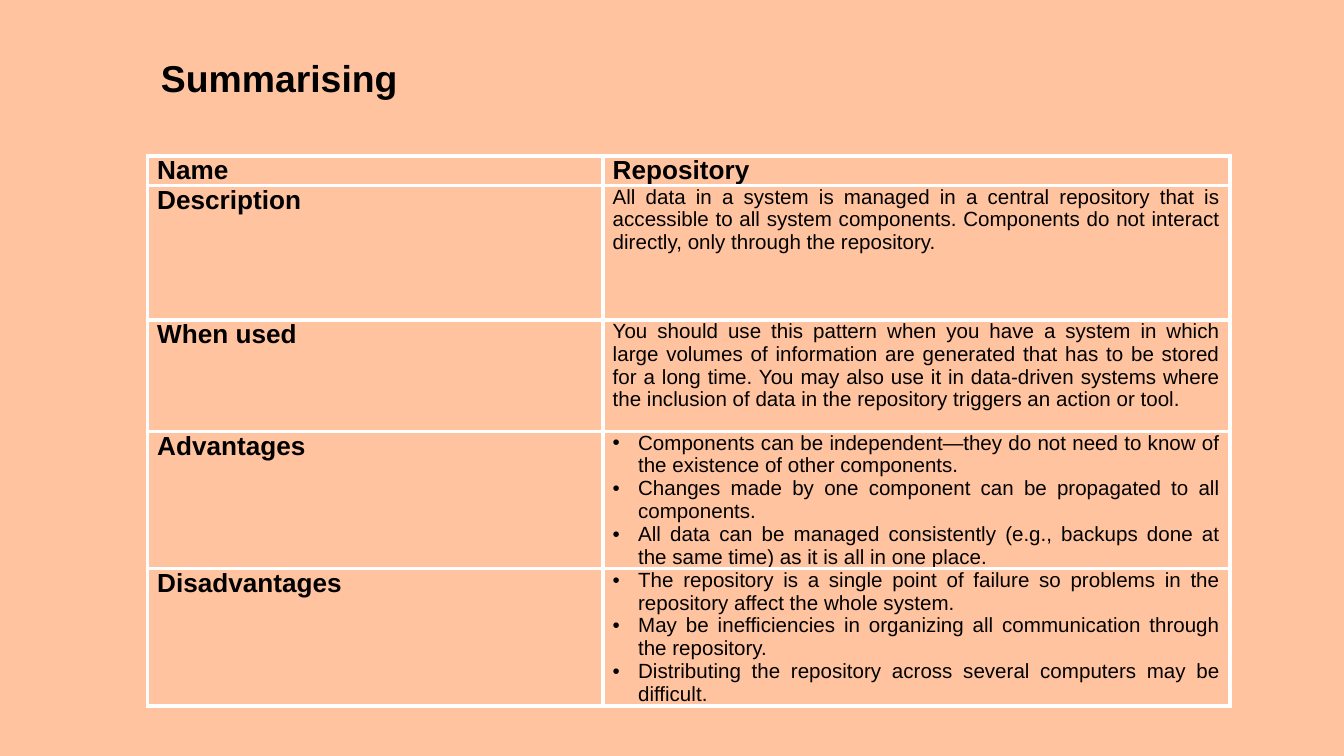
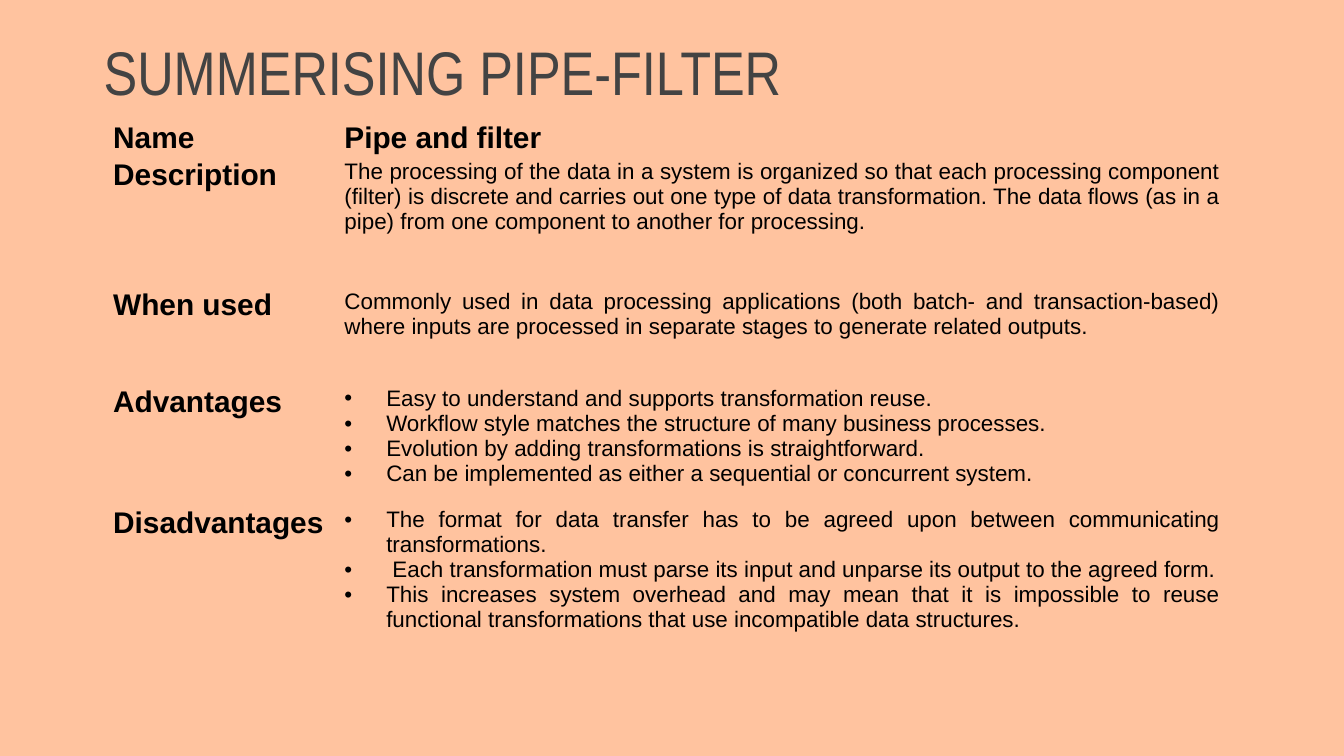
from lxml.etree import SubElement
from pptx import Presentation
from pptx.dml.color import RGBColor
from pptx.enum.text import MSO_ANCHOR, MSO_AUTO_SIZE, PP_ALIGN
from pptx.oxml.ns import qn
from pptx.util import Cm, Pt

BACKGROUND = "FFC39F"
INK = "000000"
GREY = "434343"
WHITE = "FFFFFF"
BODY_FONT = "Arial"
TITLE_ONLY = 5


def color(value):
    return RGBColor.from_string(value)


class Deck:
    """Holds the shared style and the current slide."""

    def __init__(self):
        self.deck = Presentation()
        self.deck.slide_width, self.deck.slide_height = Cm(25.4), Cm(14.29)
        fill = self.deck.slide_master.background.fill
        fill.solid()
        fill.fore_color.rgb = color(BACKGROUND)
        self.page = None

    def new_page(self):
        self.page = self.deck.slides.add_slide(self.deck.slide_layouts[TITLE_ONLY])

    def span(self, para, text, size, bold=False, font=BODY_FONT, ink=INK):
        span = para.add_run()
        span.text = text
        span.font.name, span.font.size, span.font.bold = font, Pt(size), bold
        span.font.color.rgb = color(ink)

    def title(self, text, place, insets, **style):
        box = self.page.shapes.title
        box.left, box.top, box.width, box.height = map(Cm, place)
        frame = box.text_frame
        frame.word_wrap, frame.auto_size = True, MSO_AUTO_SIZE.NONE
        frame.vertical_anchor = MSO_ANCHOR.TOP
        frame.margin_left = frame.margin_right = Cm(insets[0])
        frame.margin_top = frame.margin_bottom = Cm(insets[1])
        para = frame.paragraphs[0]
        para.alignment = PP_ALIGN.LEFT
        self.span(para, text, **style)

    def bullet(self, para, indent):
        props = para._p.get_or_add_pPr()
        props.set("marL", str(Cm(indent)))
        props.set("indent", str(-Cm(indent)))
        tint = SubElement(props, qn("a:buClr"))
        SubElement(tint, qn("a:srgbClr"), val=INK)
        SubElement(props, qn("a:buFont"), typeface=BODY_FONT)
        SubElement(props, qn("a:buChar"), char="•")

    def borders(self, cell, line):
        props = cell._tc.get_or_add_tcPr()
        for side in ("lnL", "lnR", "lnT", "lnB"):
            edge = SubElement(props, qn(f"a:{side}"), w=str(Pt(2.25)))
            if line:
                paint = SubElement(edge, qn("a:solidFill"))
                SubElement(paint, qn("a:srgbClr"), val=line)
            else:
                SubElement(edge, qn("a:noFill"))

    def cell(self, cell, content, size, bold, indent, line):
        self.borders(cell, line)
        cell.fill.background()
        cell.margin_left = cell.margin_right = Cm(0.18)
        cell.margin_top = cell.margin_bottom = 0
        # A list becomes bullets, a string one plain paragraph
        bulleted = isinstance(content, list)
        for number, text in enumerate(content if bulleted else [content]):
            frame = cell.text_frame
            para = frame.add_paragraph() if number else frame.paragraphs[0]
            para.alignment = PP_ALIGN.JUSTIFY
            if bulleted:
                self.bullet(para, indent)
            self.span(para, text, size, bold)

    def table(self, rows, corner, widths, heights, label_size, body_size, indent, line=None):
        frame = self.page.shapes.add_table(
            len(rows), len(widths), *map(Cm, corner), Cm(sum(widths)), Cm(sum(heights)))
        table = frame.table
        table.first_row = table.horz_banding = False
        for column, width in zip(table.columns, widths):
            column.width = Cm(width)
        for row, height in zip(table.rows, heights):
            row.height = Cm(height)
        for r, contents in enumerate(rows):
            for c, content in enumerate(contents):
                # The top row and the first column are bold labels
                label = r == 0 or c == 0
                size = label_size if label else body_size
                self.cell(table.cell(r, c), content, size, label, indent, line)


REPOSITORY = [
    ("Name", "Repository"),
    ("Description",
     "All data in a system is managed in a central repository that is accessible to all "
     "system components. Components do not interact directly, only through the repository."),
    ("When used",
     "You should use this pattern when you have a system in which large volumes of "
     "information are generated that has to be stored for a long time. You may also use it "
     "in data-driven systems where the inclusion of data in the repository triggers an "
     "action or tool."),
    ("Advantages", [
        "Components can be independent—they do not need to know of the existence of other "
        "components.",
        "Changes made by one component can be propagated to all components.",
        "All data can be managed consistently (e.g., backups done at the same time) as it is "
        "all in one place."]),
    ("Disadvantages", [
        "The repository is a single point of failure so problems in the repository affect "
        "the whole system.",
        "May be inefficiencies in organizing all communication through the repository.",
        "Distributing the repository across several computers may be difficult."]),
]

PIPE_AND_FILTER = [
    ("Name", "Pipe and filter"),
    ("Description",
     "The processing of the data in a system is organized so that each processing component "
     "(filter) is discrete and carries out one type of data transformation. The data flows "
     "(as in a pipe) from one component to another for processing."),
    ("When used",
     "Commonly used in data processing applications (both batch- and transaction-based) "
     "where inputs are processed in separate stages to generate related outputs."),
    ("Advantages", [
        "Easy to understand and supports transformation reuse.",
        "Workflow style matches the structure of many business processes.",
        "Evolution by adding transformations is straightforward.",
        "Can be implemented as either a sequential or concurrent system."]),
    ("Disadvantages", [
        "The format for data transfer has to be agreed upon between communicating "
        "transformations.",
        " Each transformation must parse its input and unparse its output to the agreed form.",
        "This increases system overhead and may mean that it is impossible to reuse "
        "functional transformations that use incompatible data structures."]),
]


def main():
    show = Deck()

    # Repository summary
    show.new_page()
    show.table(REPOSITORY, (2.79, 2.95), (8.61, 11.84), (0.53, 2.54, 2.11, 2.46, 2.46),
               label_size=14, body_size=11, indent=0.48, line=WHITE)
    show.title("Summarising", (2.79, 0.91, 12.17, 1.12), (0.25, 0.13), size=20, bold=True)

    # Pipe and filter summary
    show.new_page()
    show.title("SUMMERISING PIPE-FILTER", (1.96, 0.64, 16.81, 2.87), (0, 0),
               size=33, font="Arial Narrow", ink=GREY)
    show.table(PIPE_AND_FILTER, (1.96, 2.29), (4.37, 16.92), (0.71, 2.46, 1.83, 2.29, 4.01),
               label_size=16, body_size=12, indent=0.79)

    show.deck.save("out.pptx")


if __name__ == "__main__":
    main()
